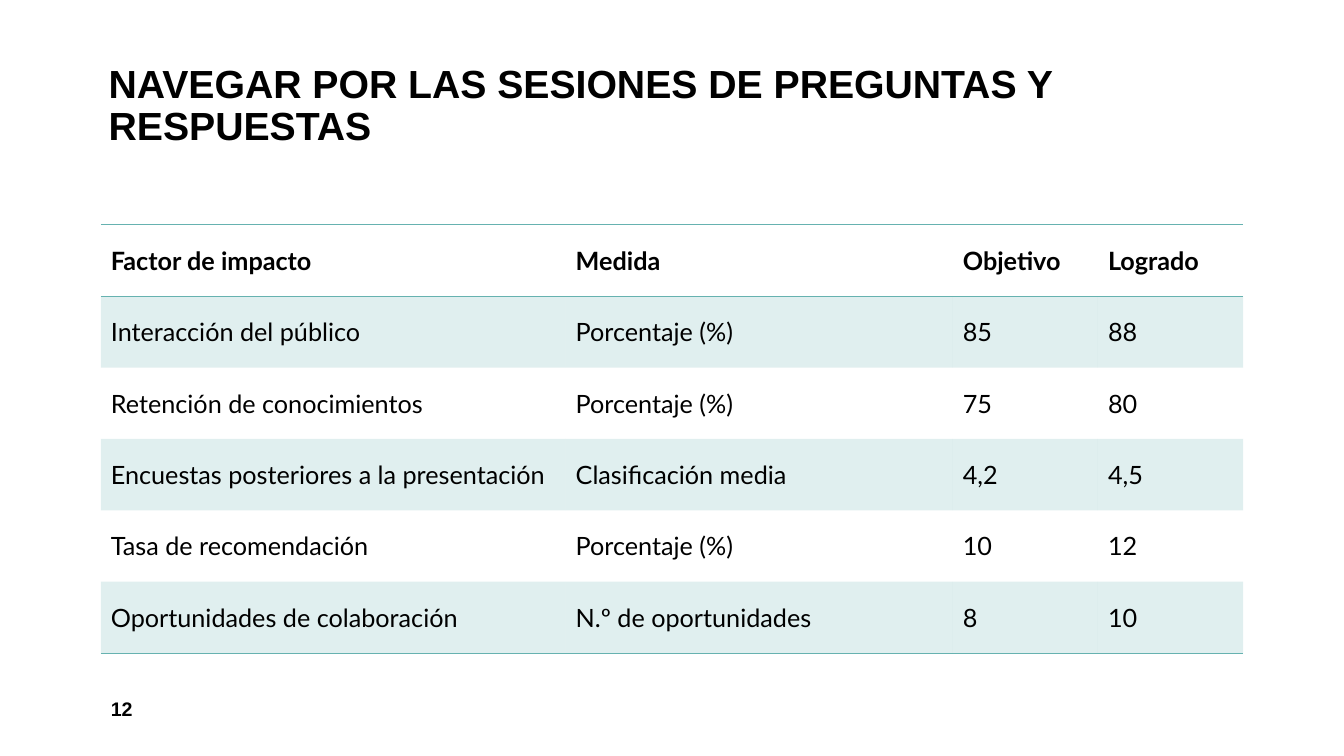
from dataclasses import dataclass

from lxml.etree import SubElement
from pptx import Presentation
from pptx.dml.color import RGBColor
from pptx.enum.text import MSO_ANCHOR as Anchor
from pptx.oxml.ns import qn
from pptx.util import Inches, Pt

TITLE = "NAVEGAR POR LAS SESIONES DE PREGUNTAS Y RESPUESTAS"
PAGE_NUMBER = "12"
IMPACT_ROWS = [
    ("Factor de impacto", "Medida", "Objetivo", "Logrado"),
    ("Interacción del público", "Porcentaje (%)", "85", "88"),
    ("Retención de conocimientos", "Porcentaje (%)", "75", "80"),
    ("Encuestas posteriores a la presentación", "Clasificación media", "4,2", "4,5"),
    ("Tasa de recomendación", "Porcentaje (%)", "10", "12"),
    ("Oportunidades de colaboración", "N.º de oportunidades", "8", "10"),
]
COLUMN_WIDTHS = (4.61, 3.84, 1.44, 1.44)
TABLE_LEFT, TABLE_TOP, TABLE_HEIGHT = 1, 2.23, 4.25
PLAIN_TABLE_STYLE = "{2D5ABB26-0587-4C30-8999-92F81FD0307C}"


@dataclass(frozen=True)
class Theme:
    ink: str = "000000"
    accent: str = "66B2B0"
    band_opacity: int = 20
    rule_width: float = 1
    heading_font: str = "Arial"
    body_font: str = "Lato"
    title_size: int = 28
    body_size: int = 18
    page_size: int = 14


THEME = Theme()


def style_text(frame, font_name, size, bold):
    for run in frame.paragraphs[0].runs:
        run.font.name = font_name
        run.font.size = Pt(size)
        run.font.bold = bold
        run.font.color.rgb = RGBColor.from_string(THEME.ink)


def add_heading(slide, text, box, size, anchor):
    frame = slide.shapes.add_textbox(*map(Inches, box)).text_frame
    frame.word_wrap = True
    frame.vertical_anchor = anchor
    frame.text = text
    style_text(frame, THEME.heading_font, size, True)
    return frame


def add_rule(cell, edge):
    """Draw an accent border; edge is 'T' or 'B', added in that order before the fill."""
    line = SubElement(cell._tc.get_or_add_tcPr(), qn(f"a:ln{edge}"), w=str(Pt(THEME.rule_width)))
    fill = SubElement(line, qn("a:solidFill"))
    SubElement(fill, qn("a:srgbClr"), val=THEME.accent)


def fill_band(cell):
    cell.fill.solid()
    cell.fill.fore_color.rgb = RGBColor.from_string(THEME.accent)
    color = cell._tc.tcPr.find(qn("a:solidFill")).find(qn("a:srgbClr"))
    SubElement(color, qn("a:alpha"), val=str(THEME.band_opacity * 1000))


def add_impact_table(slide):
    last_row = len(IMPACT_ROWS) - 1
    box = (TABLE_LEFT, TABLE_TOP, sum(COLUMN_WIDTHS), TABLE_HEIGHT)
    table = slide.shapes.add_table(
        len(IMPACT_ROWS), len(COLUMN_WIDTHS), *map(Inches, box)
    ).table
    table._tbl.tblPr.find(qn("a:tableStyleId")).text = PLAIN_TABLE_STYLE
    for column, width in zip(table.columns, COLUMN_WIDTHS):
        column.width = Inches(width)

    for r, values in enumerate(IMPACT_ROWS):
        for c, value in enumerate(values):
            cell = table.cell(r, c)
            cell.text_frame.text = value
            cell.vertical_anchor = Anchor.MIDDLE
            style_text(cell.text_frame, THEME.body_font, THEME.body_size, r == 0)
            if r == 0:
                add_rule(cell, "T")
            if r in (0, last_row):
                add_rule(cell, "B")
            if r % 2:
                fill_band(cell)
            else:
                cell.fill.background()


def main():
    deck = Presentation()
    deck.slide_width, deck.slide_height = Inches(13.33), Inches(7.5)
    slide = deck.slides.add_slide(deck.slide_layouts[6])
    title = add_heading(slide, TITLE, (0.98, 0.08, 11.73, 1.45), THEME.title_size, Anchor.BOTTOM)
    title.paragraphs[0].line_spacing = 0.9
    add_impact_table(slide)
    add_heading(slide, PAGE_NUMBER, (1, 6.83, 2.92, 0.4), THEME.page_size, Anchor.MIDDLE)
    deck.save("out.pptx")


if __name__ == "__main__":
    main()
